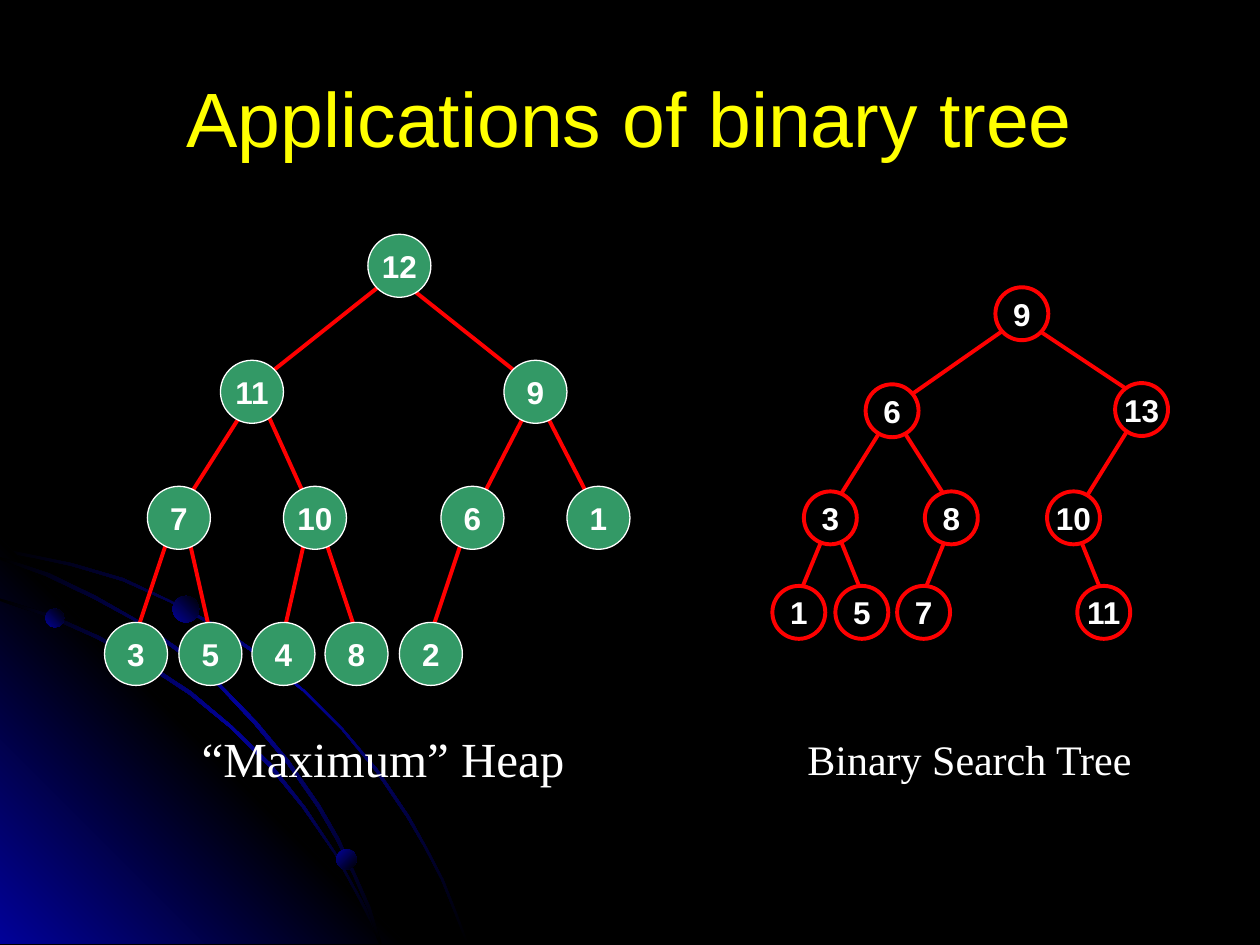
from lxml import etree
from pptx import Presentation
from pptx.dml.color import RGBColor
from pptx.enum.shapes import MSO_CONNECTOR as CONN, MSO_SHAPE as SHAPE
from pptx.enum.text import MSO_ANCHOR as ANCHOR, PP_ALIGN as ALIGN
from pptx.oxml.ns import qn
from pptx.util import Inches, Pt

COLORS = {"black": "000000", "white": "FFFFFF", "yellow": "FFFF00",
          "red": "FF0000", "green": "339966", "blue": "010199"}

# Background arcs: outer edge, then back along the inner edge
ARCS = [
    [(0.57, 4.47), (0.28, 4.41), (0, 4.35), (0, 4.38), (0.28, 4.43), (0.56, 4.49),
     (0.97, 4.61), (1.35, 4.78), (1.73, 4.99), (2.08, 5.23), (2.41, 5.49),
     (2.71, 5.79), (2.98, 6.12), (3.23, 6.49), (3.37, 6.73), (3.5, 6.98),
     (3.6, 7.23), (3.7, 7.49), (3.72, 7.49), (3.62, 7.23), (3.52, 6.98),
     (3.39, 6.73), (3.25, 6.48), (3, 6.11), (2.72, 5.78), (2.42, 5.48),
     (2.09, 5.21), (1.74, 4.97), (1.36, 4.77), (0.98, 4.59)],
    [(2.85, 7.14), (2.94, 7.32), (3.01, 7.49), (3.03, 7.49), (2.96, 7.3),
     (2.86, 7.12), (2.66, 6.76), (2.42, 6.4), (2.15, 6.06), (1.84, 5.76),
     (1.52, 5.49), (1.17, 5.26), (0.79, 5.05), (0.41, 4.88), (0, 4.75),
     (0, 4.77), (0.39, 4.9), (0.77, 5.07), (1.15, 5.28), (1.5, 5.51),
     (1.83, 5.78), (2.13, 6.08), (2.4, 6.41), (2.65, 6.77)],
    [(0, 4.42), (0, 4.44), (0.36, 4.57), (0.74, 4.75), (1.09, 4.94), (1.42, 5.18),
     (1.73, 5.44), (2.02, 5.75), (2.27, 6.05), (2.52, 6.41), (2.67, 6.67),
     (2.8, 6.94), (2.92, 7.22), (3.01, 7.49), (3.03, 7.49), (2.94, 7.2),
     (2.82, 6.93), (2.69, 6.65), (2.54, 6.39), (2.29, 6.03), (2.04, 5.73),
     (1.75, 5.43), (1.44, 5.16), (1.11, 4.93), (0.76, 4.73), (0.39, 4.55)],
]
CORNER = [(3.22, 7.49), (0, 7.49), (0, 4.27)]
DOTS = [(0.36, 4.83, 0.15, 315), (2.67, 6.74, 0.16, 45), (1.37, 4.73, 0.21, 315)]

# Trees: nodes are (value, left, top), edges are (x1, y1, x2, y2)
HEAP_LEVELS = [
    (1.86, [("12", 2.92)]),
    (2.86, [("11", 1.75), ("9", 4)]),
    (3.86, [("7", 1.17), ("10", 2.25), ("6", 3.5), ("1", 4.5)]),
    (4.94, [("3", 0.83), ("5", 1.42), ("4", 2), ("8", 2.58), ("2", 3.17)]),
]
HEAP_NODES = [(value, x, y) for y, row in HEAP_LEVELS for value, x in row]
HEAP_EDGES = [
    (3.25, 2.28, 4.08, 2.94), (2.17, 2.94, 3, 2.28),
    (4.33, 3.28, 4.67, 3.94), (4.17, 3.28, 3.83, 3.94),
    (2.08, 3.19, 2.42, 3.94), (1.92, 3.28, 1.5, 3.94),
    (3.67, 4.28, 3.42, 5.03), (2.58, 4.28, 2.83, 5.03),
    (1.5, 4.28, 1.67, 5.03), (2.42, 4.28, 2.25, 5.03), (1.33, 4.28, 1.08, 5.03),
]
SEARCH_NODES = [
    ("9", 7.9, 2.28), ("6", 6.87, 3.05), ("13", 8.85, 3.04),
    ("3", 6.38, 3.9), ("8", 7.34, 3.9), ("10", 8.31, 3.9),
    ("1", 6.13, 4.65), ("5", 6.63, 4.65), ("7", 7.12, 4.65), ("11", 8.55, 4.65),
]
SEARCH_EDGES = [
    (8.24, 2.62, 8.99, 3.12), (7.98, 2.61, 7.15, 3.19),
    (7.17, 3.42, 7.59, 4.08), (7.02, 3.37, 6.6, 4.04), (8.99, 3.35, 8.58, 4.01),
    (8.59, 4.32, 8.76, 4.74), (6.66, 4.26, 6.83, 4.68),
    (7.54, 4.19, 7.3, 4.78), (6.55, 4.22, 6.31, 4.8),
]


def rgb(name):
    return RGBColor.from_string(COLORS[name])


class TreeSlide:
    sans, serif = "Arial", "Times New Roman"
    edge_width = 2.25

    def __init__(self, prs):
        self.s = prs.slides.add_slide(prs.slide_layouts[5])
        self.s.background.fill.solid()
        self.s.background.fill.fore_color.rgb = rgb("black")

    def add_text(self, tf, text, size, font, color="white", bold=False):
        p = tf.paragraphs[0]
        p.alignment = ALIGN.CENTER
        r = p.add_run()
        r.text = text
        r.font.size, r.font.name, r.font.bold = Pt(size), font, bold
        r.font.color.rgb = rgb(color)

    def title(self, text, x, y, w, h):
        sp = self.s.shapes.title
        sp.left, sp.top, sp.width, sp.height = map(Inches, (x, y, w, h))
        sp.text_frame.vertical_anchor = ANCHOR.MIDDLE
        self.add_text(sp.text_frame, text, 44, self.sans, "yellow")

    def caption(self, text, x, y, w, h, size):
        sp = self.s.shapes.add_textbox(*map(Inches, (x, y, w, h)))
        sp.text_frame.word_wrap = False
        self.add_text(sp.text_frame, text, size, self.serif)

    def gradient(self, sp, colors, angle):
        """Fill with evenly spaced colours; angle runs clockwise."""
        sp.shadow.inherit = False
        sp.line.fill.background()
        sp.fill.gradient()
        sp.fill.gradient_angle = (360 - angle) % 360
        stops = next(sp._element.iter(qn("a:gsLst")))
        for gs in list(stops):
            stops.remove(gs)
        for i, color in enumerate(colors):
            pos = str(i * 100000 // (len(colors) - 1))
            gs = etree.SubElement(stops, qn("a:gs"), pos=pos)
            etree.SubElement(gs, qn("a:srgbClr"), val=COLORS[color])

    def outline(self, points, colors, angle):
        start, *rest = [(Inches(x), Inches(y)) for x, y in points]
        builder = self.s.shapes.build_freeform(*start)
        builder.add_line_segments(rest, close=True)
        self.gradient(builder.convert_to_shape(), colors, angle)

    def circle(self, x, y, d):
        sp = self.s.shapes.add_shape(SHAPE.OVAL, *map(Inches, (x, y, d, d)))
        sp.shadow.inherit = False
        return sp

    def dot(self, x, y, d, angle):
        self.gradient(self.circle(x, y, d), ["blue", "black"], angle)

    def edge(self, *ends):
        c = self.s.shapes.add_connector(CONN.STRAIGHT, *map(Inches, ends))
        c.line.color.rgb = rgb("red")
        c.line.width = Pt(self.edge_width)
        etree.SubElement(c._element.spPr, qn("a:effectLst"))

    def node(self, value, x, y, d, fill, line, width):
        sp = self.circle(x, y, d)
        sp.fill.solid()
        sp.fill.fore_color.rgb = rgb(fill)
        sp.line.color.rgb = rgb(line)
        sp.line.width = Pt(width)
        tf = sp.text_frame
        tf.word_wrap = False
        tf.vertical_anchor = ANCHOR.MIDDLE
        self.add_text(tf, value, 18, self.sans, bold=True)

    def tree(self, nodes, edges, *style):
        for ends in edges:
            self.edge(*ends)
        for value, x, y in nodes:
            self.node(value, x, y, *style)


def main():
    prs = Presentation()
    prs.slide_width, prs.slide_height = Inches(10), Inches(7.5)
    slide = TreeSlide(prs)

    # Background decoration
    arc_colors = ["black", "blue", "black"]
    slide.outline(ARCS[0], arc_colors, 45)
    slide.outline(CORNER, ["blue", "black", "blue"], 315)
    for arc in ARCS[1:]:
        slide.outline(arc, arc_colors, 45)
    for dot in DOTS:
        slide.dot(*dot)

    # Title
    slide.title("Applications of binary tree", 0.5, 0.3, 9, 1.25)

    # Maximum heap
    slide.tree(HEAP_NODES, HEAP_EDGES, 0.5, "green", "white", 0.75)
    slide.caption("“Maximum” Heap", 1.33, 5.73, 3.42, 0.59, 28)

    # Binary search tree
    slide.tree(SEARCH_NODES, SEARCH_EDGES, 0.42, "black", "red", 2.25)
    slide.caption("Binary Search Tree", 6.3, 5.77, 2.79, 0.5, 24)

    prs.save("out.pptx")


if __name__ == "__main__":
    main()
